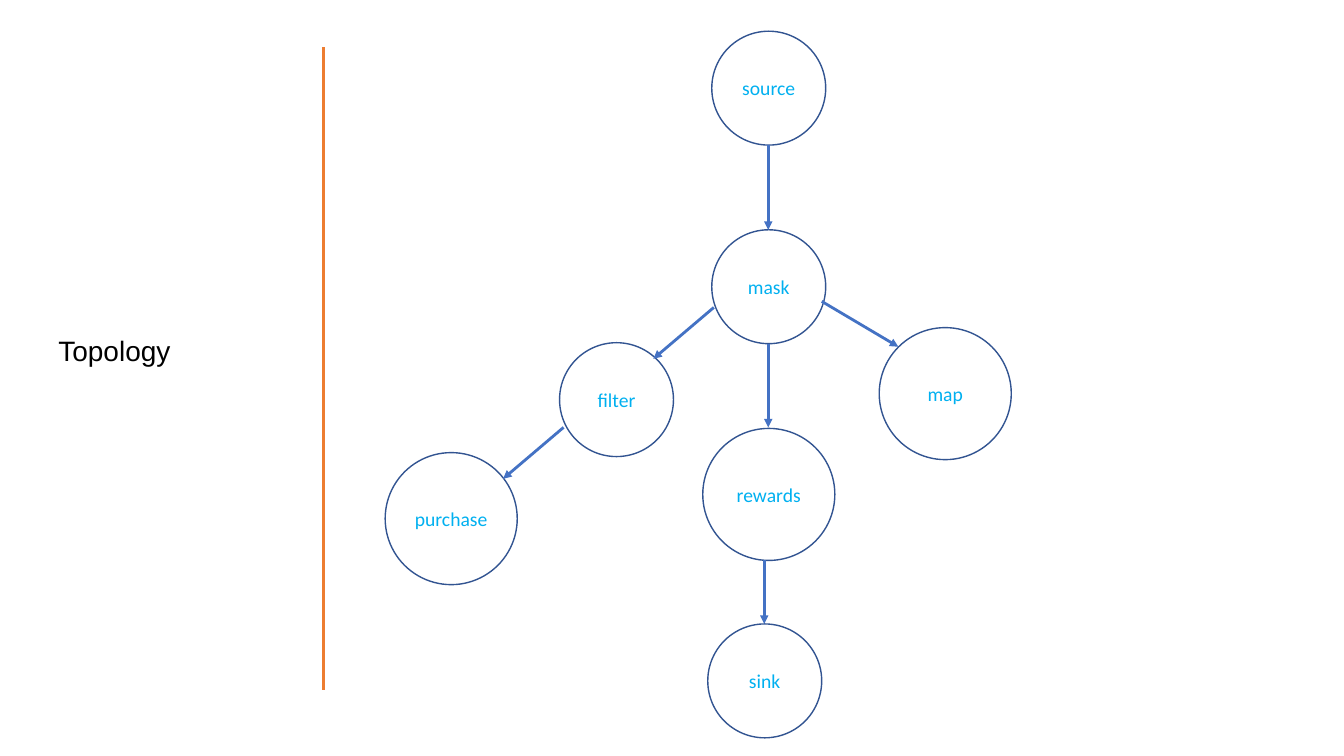
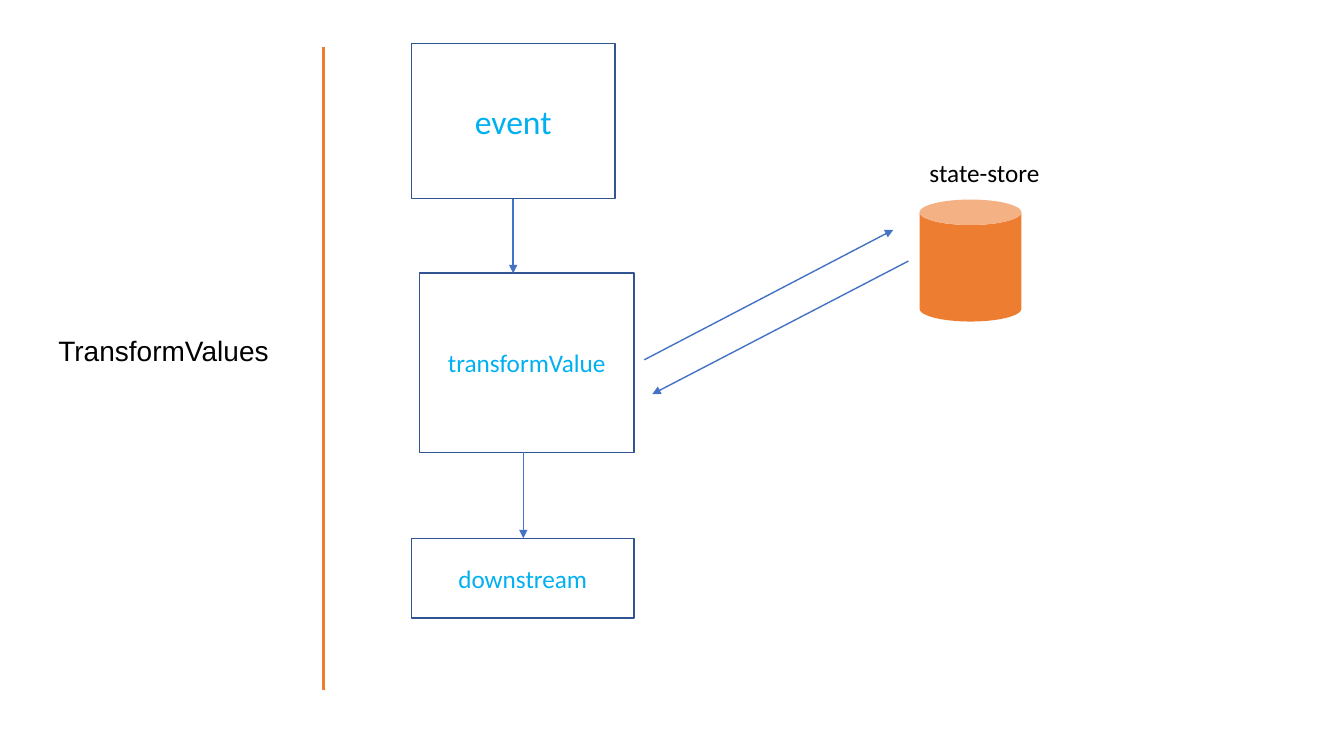
from dataclasses import dataclass

from lxml.etree import SubElement
from pptx import Presentation
from pptx.dml.color import RGBColor
from pptx.enum.shapes import MSO_CONNECTOR, MSO_SHAPE
from pptx.enum.text import MSO_ANCHOR, PP_ALIGN
from pptx.oxml.ns import qn
from pptx.shapes.autoshape import Shape
from pptx.slide import Slide
from pptx.text.text import TextFrame
from pptx.util import Inches, Pt


@dataclass(frozen=True)
class Theme:
    black: str = "000000"
    accent: str = "ED7D31"
    outline: str = "325491"
    arrow: str = "4472C4"
    label: str = "00B0F0"
    title_font: str = "Arial"
    body_font: str = "Calibri"
    title_size: int = 20
    node_size: int = 14
    box_size: int = 18
    event_size: int = 24


@dataclass(frozen=True)
class Node:
    text: str
    x: float
    y: float
    w: float
    h: float
    size: int


@dataclass(frozen=True)
class Link:
    x1: float
    y1: float
    x2: float
    y2: float


THEME = Theme()
SMALL, LARGE = 1.13, 1.31  # circle diameters


def circle(text: str, x: float, y: float, d: float) -> Node:
    return Node(text, x, y, d, d, THEME.node_size)


TOPOLOGY_NODES = [
    circle("source", 7.06, 0.31, SMALL),
    circle("mask", 7.06, 2.28, SMALL),
    circle("filter", 5.55, 3.4, SMALL),
    circle("map", 8.72, 3.25, LARGE),
    circle("purchase", 3.82, 4.49, LARGE),
    circle("rewards", 6.97, 4.25, LARGE),
    circle("sink", 7.02, 6.19, SMALL),
]
TOPOLOGY_LINKS = [
    Link(7.62, 1.44, 7.62, 2.28),
    Link(7.08, 3.05, 6.48, 3.56),
    Link(7.62, 3.41, 7.62, 4.24),
    Link(8.15, 2.99, 8.91, 3.44),
    Link(5.59, 4.24, 4.99, 4.75),
    Link(7.58, 5.56, 7.58, 6.19),
]
TRANSFORM_BOXES = [
    Node("event", 4.08, 0.43, 2.02, 1.54, THEME.event_size),
    Node("transformValue", 4.16, 2.71, 2.13, 1.78, THEME.box_size),
    Node("downstream", 4.08, 5.34, 2.21, 0.79, THEME.box_size),
]
TRANSFORM_LINKS = [
    Link(5.09, 1.97, 5.09, 2.71),
    Link(5.19, 4.48, 5.19, 5.34),
    Link(6.39, 3.57, 8.86, 2.28),
    Link(9.01, 2.59, 6.47, 3.91),
]


def write(tf: TextFrame, text: str, *, size: int, color: str = THEME.black,
          font: str = THEME.body_font,
          align: PP_ALIGN = PP_ALIGN.LEFT) -> None:
    p = tf.paragraphs[0]
    p.alignment = align
    r = p.add_run()
    r.text = text
    r.font.name = font
    r.font.size = Pt(size)
    r.font.color.rgb = RGBColor.from_string(color)


def add_label(s: Slide, x: float, y: float, w: float, h: float) -> TextFrame:
    tf = s.shapes.add_textbox(Inches(x), Inches(y), Inches(w), Inches(h)).text_frame
    tf.word_wrap = True
    return tf


def add_preset(s: Slide, kind: MSO_SHAPE, x: float, y: float,
               w: float, h: float) -> Shape:
    sp = s.shapes.add_shape(kind, Inches(x), Inches(y), Inches(w), Inches(h))
    sp.shadow.inherit = False
    return sp


def add_node(s: Slide, kind: MSO_SHAPE, node: Node) -> None:
    sp = add_preset(s, kind, node.x, node.y, node.w, node.h)
    sp.fill.background()
    sp.line.color.rgb = RGBColor.from_string(THEME.outline)
    sp.line.width = Pt(1)
    tf = sp.text_frame
    tf.word_wrap = False
    tf.vertical_anchor = MSO_ANCHOR.MIDDLE
    write(tf, node.text, size=node.size, color=THEME.label, align=PP_ALIGN.CENTER)


def add_line(s: Slide, link: Link, color: str, width: float,
             arrow: bool = False) -> None:
    line = s.shapes.add_connector(
        MSO_CONNECTOR.STRAIGHT, Inches(link.x1), Inches(link.y1),
        Inches(link.x2), Inches(link.y2))
    line.line.color.rgb = RGBColor.from_string(color)
    line.line.width = Pt(width)
    if arrow:
        SubElement(line.line._get_or_add_ln(), qn("a:tailEnd"), type="triangle")
    SubElement(line._element.spPr, qn("a:effectLst"))


def add_diagram(s: Slide, kind: MSO_SHAPE, nodes: list[Node],
                links: list[Link], width: float) -> None:
    for node in nodes:
        add_node(s, kind, node)
    for link in links:
        add_line(s, link, THEME.arrow, width, arrow=True)


def new_slide(prs: Presentation, title: str) -> Slide:
    """Blank slide with the side title and the vertical rule."""
    s = prs.slides.add_slide(prs.slide_layouts[6])
    add_line(s, Link(3.21, 0.47, 3.21, 6.85), THEME.accent, 2.25)
    write(add_label(s, 0.48, 3.26, 2.29, 0.44), title,
          size=THEME.title_size, font=THEME.title_font)
    return s


def add_state_store(s: Slide) -> None:
    can = add_preset(s, MSO_SHAPE.CAN, 9.12, 1.98, 1.01, 1.21)
    can.fill.solid()
    can.fill.fore_color.rgb = RGBColor.from_string(THEME.accent)
    can.line.fill.background()
    write(add_label(s, 9.12, 1.51, 1.42, 0.4), "state-store", size=THEME.box_size)


def main() -> None:
    prs = Presentation()
    prs.slide_width, prs.slide_height = Inches(13.33), Inches(7.5)

    # Topology tree
    s = new_slide(prs, "Topology")
    add_diagram(s, MSO_SHAPE.OVAL, TOPOLOGY_NODES, TOPOLOGY_LINKS, 2)

    # Event flow with its state store
    s = new_slide(prs, "TransformValues")
    add_diagram(s, MSO_SHAPE.RECTANGLE, TRANSFORM_BOXES, TRANSFORM_LINKS, 1)
    add_state_store(s)

    prs.save("out.pptx")


if __name__ == "__main__":
    main()
